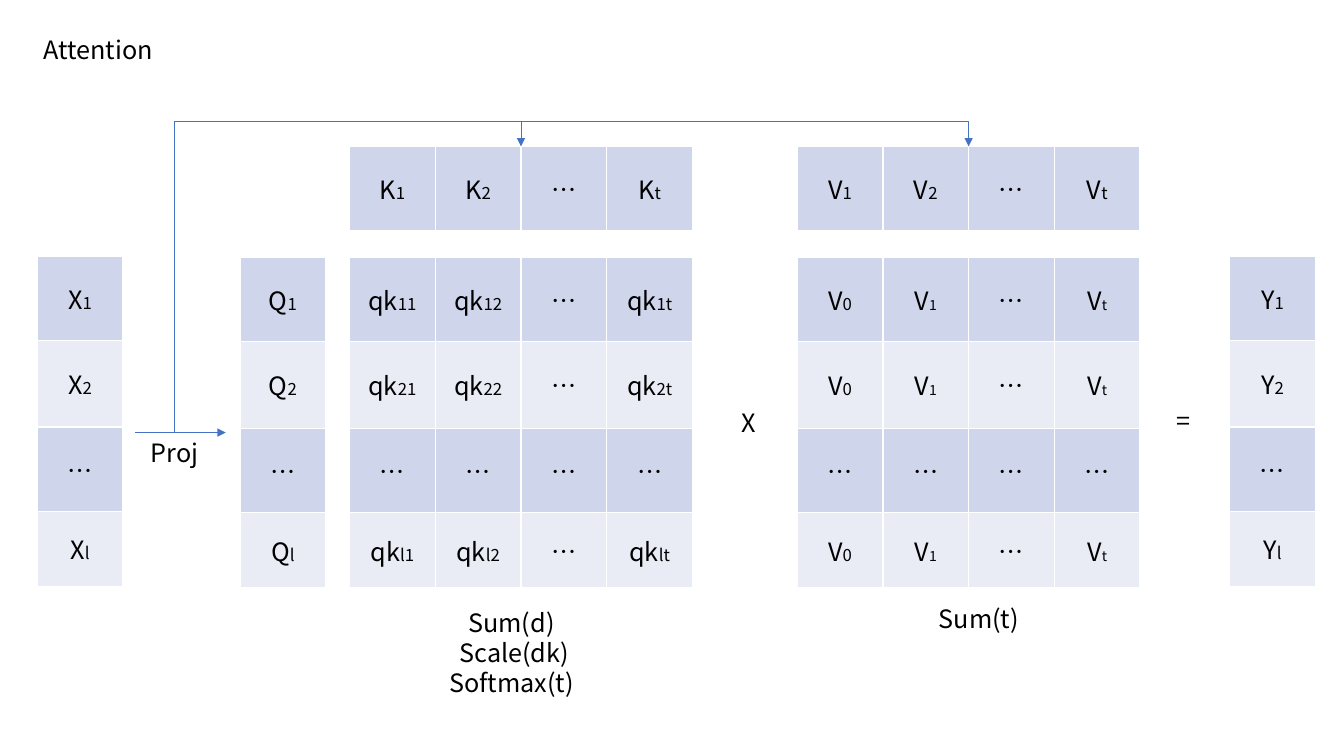
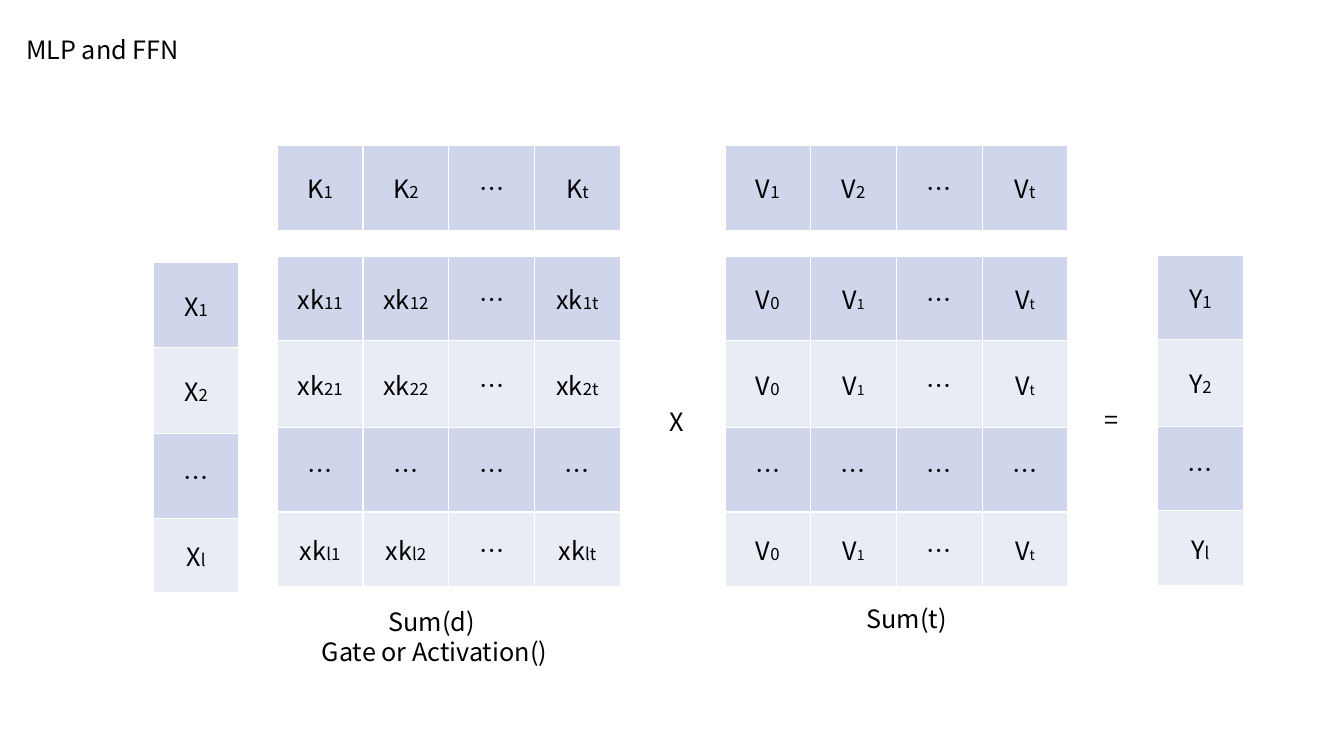
from lxml import etree
from pptx import Presentation
from pptx.dml.color import RGBColor
from pptx.enum.shapes import MSO_CONNECTOR
from pptx.enum.text import MSO_ANCHOR, PP_ALIGN
from pptx.oxml.ns import qn
from pptx.util import Cm, Pt

STRAIGHT, ELBOW = MSO_CONNECTOR.STRAIGHT, MSO_CONNECTOR.ELBOW
MIDDLE = MSO_ANCHOR.MIDDLE
CENTER, LEFT = PP_ALIGN.CENTER, PP_ALIGN.LEFT
COLORS = {"text": "000000", "odd": "CFD5EA", "even": "E9EBF5",
          "border": "FFFFFF", "arrow": "4472C4"}
FONT = "Noto Sans CJK SC"
TEXT_SIZE, SUB_SIZE, TINY_SIZE = 18, 12, 10
COLUMN_WIDTH = 2.16
ROW_HEIGHTS = (2.13, 2.18, 2.13, 1.88)
GAP = "…"
ROWS = ("1", "2", GAP, "l")
COLUMNS = ("1", "2", GAP, "t")
VALUE_COLUMNS = ("0", "1", GAP, "t")


def rgb(name):
    """Return the named colour."""
    return RGBColor.from_string(COLORS[name])


def format_span(span, size=TEXT_SIZE):
    """Give a run the deck's font, size and colour."""
    span.font.size = Pt(size)
    span.font.name = FONT
    span.font.color.rgb = rgb("text")
    etree.SubElement(span.font._element, qn("a:ea"), typeface=FONT)


def add_text(page, left, top, width, lines, align=CENTER):
    """Place a text box with one paragraph for each line."""
    box = page.shapes.add_textbox(Cm(left), Cm(top), Cm(width), Cm(0.25 + 0.76 * len(lines)))
    box.text_frame.word_wrap = True
    box.text_frame.text = "\n".join(lines)
    for para in box.text_frame.paragraphs:
        para.alignment = align
        format_span(para.runs[0])


def add_borders(cell):
    """Draw a thin border on all four sides of a cell."""
    properties = cell._tc.get_or_add_tcPr()
    for side in ("lnL", "lnR", "lnT", "lnB"):
        line = etree.SubElement(properties, qn(f"a:{side}"), w=str(Pt(1)))
        fill = etree.SubElement(line, qn("a:solidFill"))
        etree.SubElement(fill, qn("a:srgbClr"), val=COLORS["border"])


def fill_cell(cell, base, index, color, tiny):
    """Write a symbol and its small index in a coloured cell."""
    add_borders(cell)
    cell.fill.solid()
    cell.fill.fore_color.rgb = rgb(color)
    cell.vertical_anchor = MIDDLE
    para = cell.text_frame.paragraphs[0]
    para.alignment = CENTER
    if GAP in index:
        base, index = GAP, ""
    para.text = base
    format_span(para.runs[0])
    if index:
        span = para.add_run()
        span.text = index
        format_span(span, TINY_SIZE if index in tiny else SUB_SIZE)


def add_matrix(page, left, top, base, indices, tiny=()):
    """Place a banded table of indexed symbols."""
    heights = ROW_HEIGHTS[:len(indices)]
    count = len(indices[0])
    table = page.shapes.add_table(len(indices), count, Cm(left), Cm(top),
                                  Cm(count * COLUMN_WIDTH), Cm(sum(heights))).table
    table.first_row = table.horz_banding = False
    for column in table.columns:
        column.width = Cm(COLUMN_WIDTH)
    for number, (row, height) in enumerate(zip(indices, heights)):
        table.rows[number].height = Cm(height)
        color = "even" if number % 2 else "odd"
        for cell, index in zip(table.rows[number].cells, row):
            fill_cell(cell, base, index, color, tiny)


def add_vector(page, left, top, base):
    """Place a one-column matrix."""
    add_matrix(page, left, top, base, [[row] for row in ROWS])


def add_arrow(page, kind, start, end):
    """Draw a thin connector with an arrowhead at its end."""
    arrow = page.shapes.add_connector(kind, *map(Cm, start + end))
    arrow.line.color.rgb = rgb("arrow")
    arrow.line.width = Pt(0.5)
    etree.SubElement(arrow.line._get_or_add_ln(), qn("a:tailEnd"), type="triangle")
    etree.SubElement(arrow._element.spPr, qn("a:effectLst"))
    return arrow


def add_loop_arrow(page, start, end, peak):
    """Draw an elbow that climbs to the peak, runs right and drops to its end."""
    run, rise = end[0] - start[0], start[1] - end[1]
    left = (start[0] + end[0] - rise) / 2
    top = (start[1] + end[1] - run) / 2
    arrow = add_arrow(page, ELBOW, (left, top), (left + rise, top + run))
    properties = arrow._element.spPr
    frame = properties.find(qn("a:xfrm"))
    for name, value in (("rot", "5400000"), ("flipH", "1"), ("flipV", "1")):
        frame.set(name, value)
    bend = round((start[1] - peak) / rise * 100000)
    guides = properties.find(qn("a:prstGeom")).find(qn("a:avLst"))
    etree.SubElement(guides, qn("a:gd"), name="adj1", fmla=f"val {bend}")


def add_product(page, left, top, score, notes, notes_center, notes_width):
    """Place keys, scores, values and the result from the scores' corner."""
    values_left = left + 11.28
    header_top = top - 2.79
    scores = [[row + column for column in COLUMNS] for row in ROWS]
    weights = [[GAP if row == GAP else column for column in VALUE_COLUMNS] for row in ROWS]
    add_matrix(page, left, header_top, "K", [COLUMNS])
    add_matrix(page, left, top, score, scores)
    add_matrix(page, values_left, header_top, "V", [COLUMNS])
    add_matrix(page, values_left, top, "V", weights, tiny=("1", "t"))
    add_vector(page, left + 22.18, top - 0.03, "Y")
    add_text(page, left + 9.42, top + 3.65, 1.3, ["X"])
    add_text(page, left + 20.5, top + 3.6, 1.04, ["="])
    add_text(page, left + notes_center - notes_width / 2, top + 8.69, notes_width, notes)
    add_text(page, values_left + 2.51, top + 8.61, 4.14, ["Sum(t)"])


def add_projection(page, left, top, targets):
    """Place the projection arrow and its branches to the targets."""
    add_arrow(page, STRAIGHT, (left, top), (left + 2.29, top))
    add_text(page, left - 0.23, top, 2.46, ["Proj"])
    for target in targets:
        add_loop_arrow(page, (left + 0.99, top), target, 3.05)


def add_attention_page(page):
    """Build the attention slide."""
    left, top = 8.81, 6.48
    add_text(page, 0.41, 0.74, 4.14, ["Attention"])
    add_vector(page, 0.94, 6.45, "X")
    add_vector(page, 6.05, top, "Q")
    add_product(page, left, top, "qk", ["Sum(d) ", "Scale(dk)", "Softmax(t) "], 4.15, 4.14)
    middle = left + 2 * COLUMN_WIDTH
    add_projection(page, 3.4, 10.9, [(middle, 3.69), (middle + 11.28, 3.69)])


def add_mlp_page(page):
    """Build the MLP and FFN slide."""
    add_text(page, 0.41, 0.74, 6.12, ["MLP and FFN"], LEFT)
    add_vector(page, 3.86, 6.62, "X")
    add_product(page, 6.99, 6.46, "xk", ["Sum(d) ", "Gate or Activation()"], 3.96, 8.38)


def main():
    """Build and save the deck."""
    deck = Presentation()
    deck.slide_width, deck.slide_height = Cm(33.87), Cm(19.05)
    for build in (add_attention_page, add_mlp_page):
        build(deck.slides.add_slide(deck.slide_layouts[6]))
    deck.save("out.pptx")


if __name__ == "__main__":
    main()
